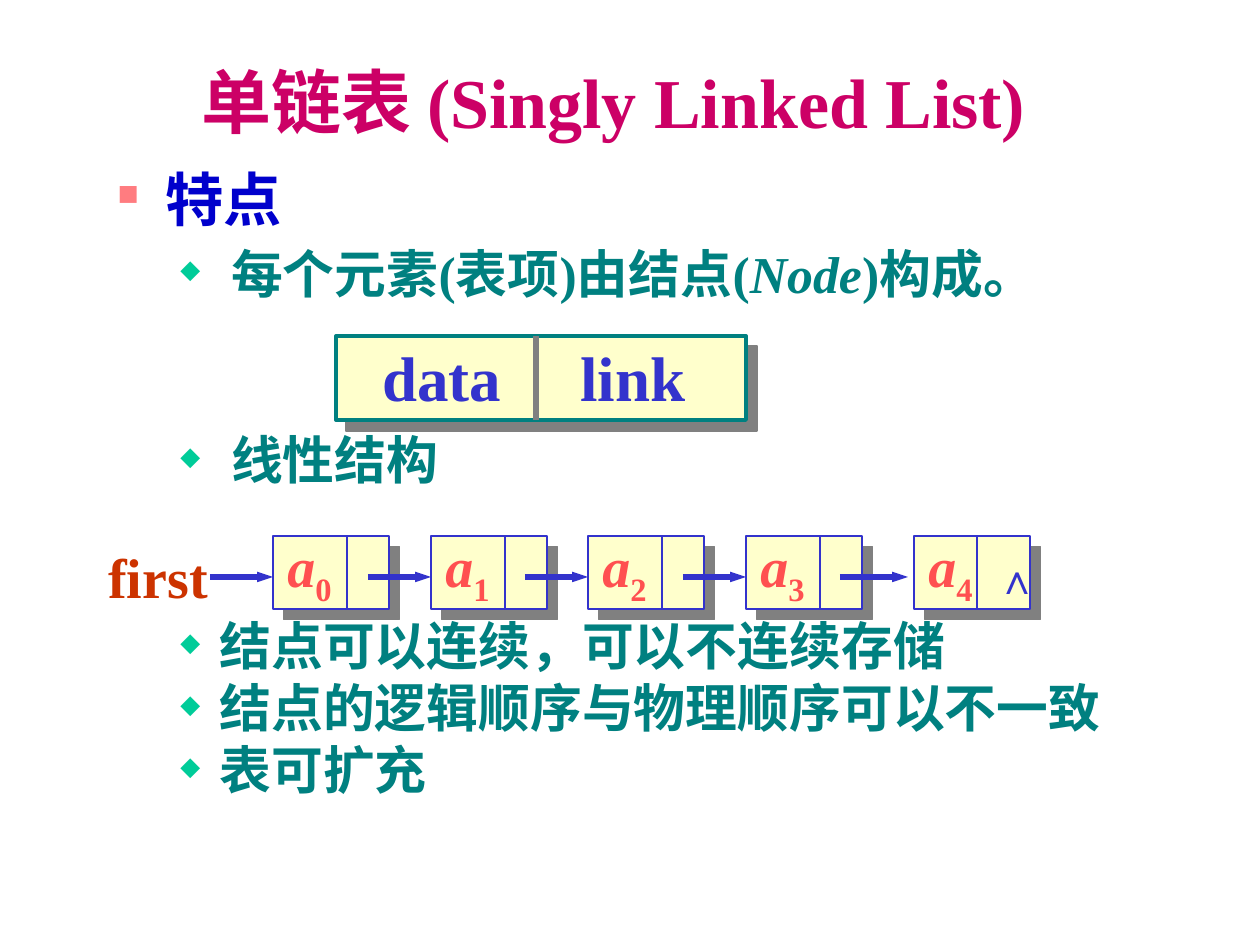
"""Builds a slide on the features of a singly linked list."""
import lxml.etree
import pptx
import pptx.dml.color
import pptx.enum.shapes
import pptx.enum.text
import pptx.oxml.ns
import pptx.util

PX = 914400 / 126
SERIF = "Times New Roman"
HUE = {"title": "CC0066", "head": "0000CC", "item": "008080", "cream": "FFFFCC",
       "blue": "3333CC", "gray": "808080", "red": "FF5050", "first": "CC3300",
       "square": "FF7C80", "mark": "00CC99"}
rgb = pptx.dml.color.RGBColor.from_string
sub = lxml.etree.SubElement
qn = pptx.oxml.ns.qn

deck = pptx.Presentation()
deck.slide_width, deck.slide_height = round(1260 * PX), round(945 * PX)
slide = deck.slides.add_slide(deck.slide_layouts[6])


def write(area, texts, size, hue, face=SERIF, wrap=False):
    box = slide.shapes.add_textbox(*[round(n * PX) for n in area])
    frame = box.text_frame
    frame.word_wrap = wrap
    para = frame.paragraphs[0]
    for text in texts:
        para.add_run().text = text
    font = para.font
    font.size, font.name, font.bold = pptx.util.Pt(size), face, True
    font.color.rgb = rgb(HUE[hue])
    return frame


def draw(ends, hue, width, arrow=False):
    line = slide.shapes.add_connector(
        pptx.enum.shapes.MSO_CONNECTOR.STRAIGHT, *[round(n * PX) for n in ends])
    line.line.color.rgb = rgb(HUE[hue])
    line.line.width = pptx.util.Pt(width)
    if arrow:
        sub(line.line._get_or_add_ln(), qn("a:tailEnd"), type="triangle", w="sm", len="med")
    sub(line._element.spPr, qn("a:effectLst"))


title = write((189, 53, 903, 95), ["单链表 (Singly Linked List)"], 40, "title", wrap=True)
title.vertical_anchor = pptx.enum.text.MSO_ANCHOR.MIDDLE

items = [("特点", 0, 3), (" 每个元素(表项)由结点(|Node|)构成。", 1, 5), (" 线性结构", 1, 71),
         ("结点可以连续，可以不连续存储", 1, 71),
         ("结点的逻辑顺序与物理顺序可以不一致", 1, 0), ("表可扩充", 1, 0)]
levels = [(48, 48, "■", "square", "head", 33.3, 40),
          (102, 39, "◆", "mark", "item", 29.6, 35.4)]
body = slide.shapes.add_textbox(*[round(n * PX) for n in (105, 157, 1155, 662)]).text_frame
body.word_wrap = True
for i, (text, level, gap) in enumerate(items):
    left, hang, char, mark, hue, size, pitch = levels[level]
    para = body.add_paragraph() if i else body.paragraphs[0]
    para.level = level
    for part in text.split("|"):
        run = para.add_run()
        run.text = part
        if part == "Node":
            run.font.italic = True
    props = para._p.get_or_add_pPr()
    props.set("marL", str(round(left * PX)))
    props.set("indent", str(round(-hang * PX)))
    sub(sub(props, qn("a:buClr")), qn("a:srgbClr"), val=HUE[mark])
    sub(props, qn("a:buSzPct"), val="50000")
    sub(props, qn("a:buChar"), char=char)
    para.space_before = pptx.util.Pt(gap)
    para.line_spacing = pptx.util.Pt(pitch)
    font = para.font
    font.size, font.name, font.bold = pptx.util.Pt(size), SERIF, True
    font.color.rgb = rgb(HUE[hue])

lefts = [273, 431, 588, 746, 914]
rects = [(336, 336, 410, 84, "item", 2.25)]
rects += [(left, 536, 116, 73, "blue", 0.75) for left in lefts]
for *area, hue, width in rects:
    rect = slide.shapes.add_shape(
        pptx.enum.shapes.MSO_SHAPE.RECTANGLE, *[round(n * PX) for n in area])
    rect.fill.solid()
    rect.fill.fore_color.rgb = rgb(HUE["cream"])
    rect.line.color.rgb = rgb(HUE[hue])
    rect.line.width = pptx.util.Pt(width)
    rect.shadow.inherit = False
    shade = sub(rect._element.spPr.find(qn("a:effectLst")), qn("a:outerShdw"),
                dist=str(pptx.util.Pt(8.5)), dir="2700000", algn="ctr", rotWithShape="0")
    sub(shade, qn("a:srgbClr"), val=HUE["gray"])

for left, text in [(370, "data"), (568, "link")]:
    write((left, 332, 166, 88), [text], 36, "blue", wrap=True)
draw((536, 336, 536, 420), "gray", 3)

for i, left in enumerate(lefts):
    last = i == len(lefts) - 1
    split = left + (63 if last else 74)
    draw((split, 536, split, 609), "blue", 0.75)
    start, end = (840, 908) if last else (left - 63, left)
    draw((start, 577, end, 577), "blue", 3, arrow=True)
    para = write((left + 2, 525, 69, 89), ["a", str(i)], 32, "red").paragraphs[0]
    para.runs[0].font.italic = True
    para.runs[1].font._element.set("baseline", "-25000")

write((984, 546, 39, 63), ["∧"], 24, "blue", "Arial")
write((96, 536, 125, 81), ["first"], 32, "first")

deck.save("out.pptx")
